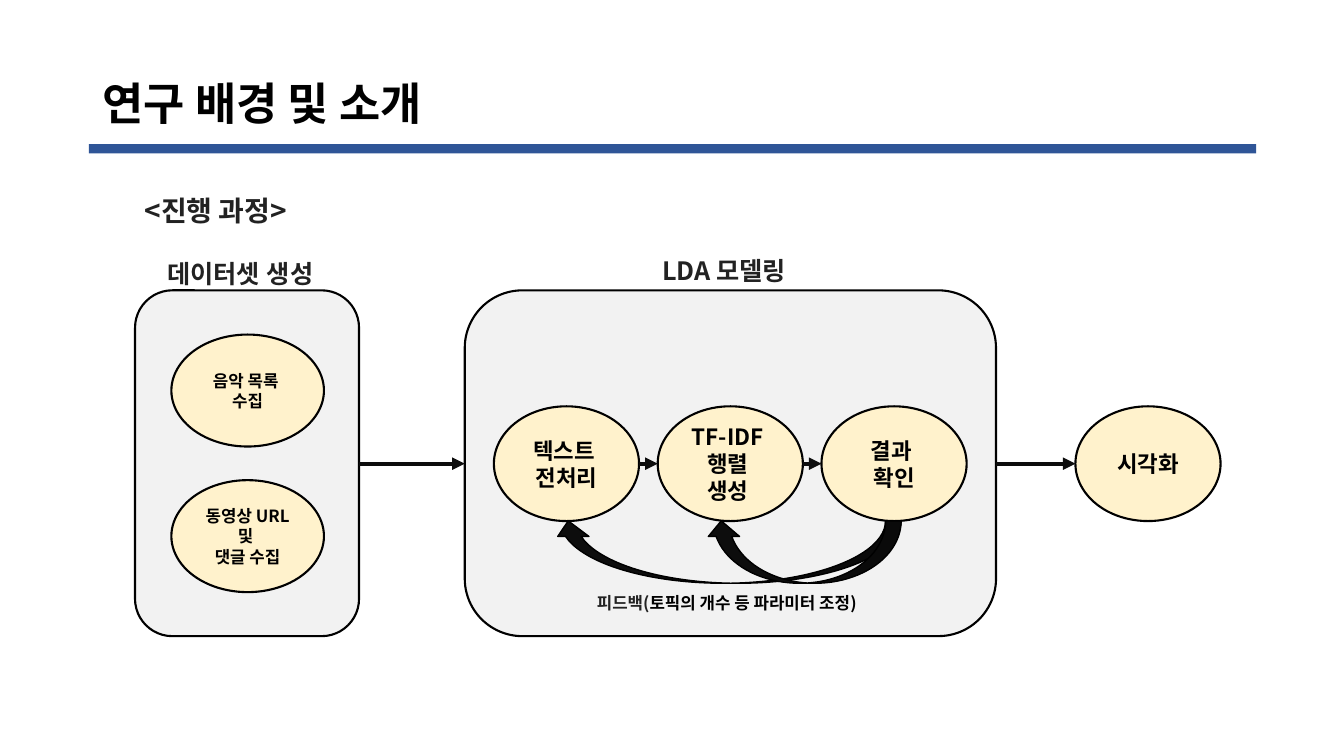
from lxml import etree
from pptx import Presentation
from pptx.dml.color import RGBColor
from pptx.enum import shapes as es, text as et
from pptx.oxml.ns import qn
from pptx.util import Pt

BLACK = RGBColor(0x00, 0x00, 0x00)
INK = RGBColor(0x0D, 0x0D, 0x0D)
GRAY = RGBColor(0x22, 0x22, 0x22)
PALE = RGBColor(0xF2, 0xF2, 0xF2)
CREAM = RGBColor(0xFF, 0xF2, 0xCC)
BLUE = RGBColor(0x2F, 0x55, 0x97)
FACE = "Noto Sans CJK KR"
KIND = es.MSO_SHAPE
MID = et.MSO_ANCHOR.MIDDLE
LEFT, CENTER = et.PP_ALIGN.LEFT, et.PP_ALIGN.CENTER
AXIS = 331.2


def apply(item, form):
    """Set each attribute named in a dict of format values."""
    for key, value in form.items():
        setattr(item, key, value)


def place(item, box):
    """Move an item to a box given in points."""
    apply(item, dict(zip(("left", "top", "width", "height"), map(Pt, box))))


def add_run(para, words, size, tint, face=FACE):
    """Append a bold run to a paragraph."""
    run = para.add_run()
    run.text = words
    apply(run.font, {"size": Pt(size), "bold": True, "name": face})
    run.font.color.rgb = tint
    etree.SubElement(run.font._element, qn("a:ea"), typeface=face)


def write(frame, lines, size, tint=BLACK, face=FACE, form=None, **para_form):
    """Fill a text frame with one paragraph per line."""
    apply(frame, {"word_wrap": True, **(form or {})})
    for i, line in enumerate(lines):
        para = frame.paragraphs[0] if i == 0 else frame.add_paragraph()
        apply(para, para_form)
        add_run(para, line, size, tint, face)


def add_form(slide, kind, box, fill, edge=None):
    """Add a flat preset shape, outlined in black when edge is given."""
    form = slide.shapes.add_shape(kind, *map(Pt, box))
    form.shadow.inherit = False
    form.fill.solid()
    form.fill.fore_color.rgb = fill
    if edge:
        form.line.color.rgb = BLACK
        form.line.width = Pt(edge)
    else:
        form.line.fill.background()
    return form


def add_oval(slide, box, lines, size):
    """Add a process step as a labelled ellipse."""
    oval = add_form(slide, KIND.OVAL, box, CREAM, 1.5)
    write(oval.text_frame, lines, size, alignment=CENTER,
          form={"vertical_anchor": MID})


def add_label(slide, box, words, size, tint, face=FACE, align=LEFT):
    """Add a text box and return its paragraph."""
    frame = slide.shapes.add_textbox(*map(Pt, box)).text_frame
    write(frame, [words], size, tint, face, alignment=align,
          form={"auto_size": et.MSO_AUTO_SIZE.SHAPE_TO_FIT_TEXT})
    return frame.paragraphs[0]


def add_arrow(slide, start, end):
    """Add a level arrow along the process axis."""
    link = slide.shapes.add_connector(
        es.MSO_CONNECTOR.STRAIGHT, Pt(start), Pt(AXIS), Pt(end), Pt(AXIS))
    link.line.color.rgb = INK
    link.line.width = Pt(3)
    etree.SubElement(link.line._get_or_add_ln(), qn("a:tailEnd"), type="triangle")
    etree.SubElement(link._element.spPr, qn("a:effectLst"))


def add_heads(slide):
    """Fill the title and body placeholders."""
    title, body = slide.placeholders
    place(title, (66, 29, 828, 94))
    place(body, (96, 122.5, 769, 366))
    fixed = {"auto_size": et.MSO_AUTO_SIZE.NONE}
    write(title.text_frame, ["연구 배경 및 소개"], 32, alignment=LEFT,
          line_spacing=0.9, form={**fixed, "vertical_anchor": MID})
    write(body.text_frame, ["<진행 과정>"], 20, GRAY, alignment=LEFT,
          line_spacing=1.5, space_before=Pt(10), form=fixed)
    props = body.text_frame.paragraphs[0]._p.get_or_add_pPr()
    apply_xml = {"marL": "0", "indent": "0"}
    props.attrib.update(apply_xml)
    etree.SubElement(props, qn("a:buNone"))


def add_data(slide):
    """Add the dataset group with its two steps."""
    add_form(slide, KIND.ROUNDED_RECTANGLE, (96.5, 207.4, 160, 247), PALE, 1.5)
    steps = (["음악 목록 ", "수집"], ["동영상 URL 및 ", "댓글 수집"])
    for i, lines in enumerate(steps):
        add_oval(slide, (122.4, 239 + 104 * i, 109, 80), lines, 12)
    add_label(slide, (112.3, 180.7, 127.4, 29), "데이터셋 생성", 18, GRAY, "Arial")


def add_model(slide):
    """Add the modelling group, its chain of steps and the feedback."""
    add_form(slide, KIND.ROUNDED_RECTANGLE, (332, 207.4, 379.5, 247), PALE, 1.5)
    steps = (["텍스트 ", "전처리"], ["TF-IDF ", "행렬 ", "생성 "], ["결과 ", "확인"])
    left, wide, step = 352.8, 103.7, 117
    for i, lines in enumerate(steps):
        x = left + step * i
        add_oval(slide, (x, 290.2, wide, 82), lines, 16)
        if i:
            add_arrow(slide, x - step + wide, x)
    add_label(slide, (465.8, 178.6, 113.8, 29), "LDA 모델링", 18, GRAY)
    end = 643.7
    for wide in (249, 139.7):
        curve = add_form(slide, KIND.CURVED_DOWN_ARROW,
                         (end - wide, 372, wide, 44.6), INK, 1)
        curve.rotation = 180
    note = add_label(slide, (403.2, 419.8, 231.8, 36), "피드백(", 12, GRAY,
                     align=CENTER)
    add_run(note, "토픽의 개수 등 파라미터 조정)", 12, BLACK)


def main():
    """Build and save the slide."""
    deck = Presentation()
    apply(deck, {"slide_width": Pt(960), "slide_height": Pt(540)})
    slide = deck.slides.add_slide(deck.slide_layouts[1])
    add_heads(slide)
    add_form(slide, KIND.RECTANGLE, (63.4, 103, 833.8, 6.5), BLUE)
    add_data(slide)
    add_model(slide)
    add_oval(slide, (768.2, 290.2, 103.7, 82), ["시각화"], 16)
    for start, end in ((256.5, 332), (711.5, 768.2)):
        add_arrow(slide, start, end)
    deck.save("out.pptx")


if __name__ == "__main__":
    main()
